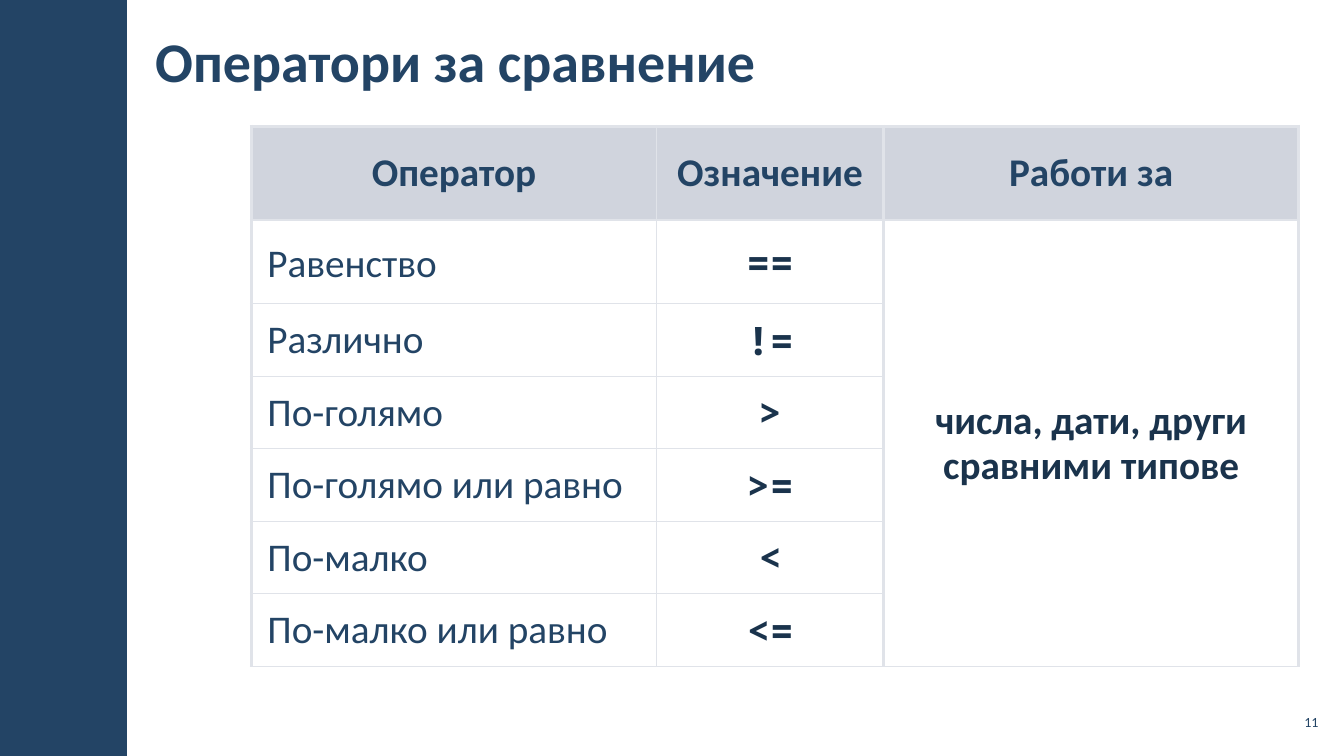
import dataclasses
import lxml.etree
import pptx
import pptx.dml.color
import pptx.enum.shapes
import pptx.enum.text
import pptx.oxml.ns
import pptx.util

Inch = pptx.util.Inches
Point = pptx.util.Pt
Align = pptx.enum.text.PP_ALIGN
Middle = pptx.enum.text.MSO_ANCHOR.MIDDLE
qn = pptx.oxml.ns.qn


@dataclasses.dataclass(frozen=True)
class Theme:
    navy: str = "234465"
    dark: str = "1A334C"
    head: str = "A3ABBC"
    rule: str = "E0E3E9"
    font: str = "Calibri"
    mono: str = "Noto Sans Mono"
    title: int = 40
    body: int = 28
    small: int = 10
    thick: float = 2.25
    thin: float = 1


THEME = Theme()
WIDE, HIGH = 13.33, 7.5
HEADS = ("Оператор", "Означение", "Работи за")
SIGNS = (
    ("Равенство", "=="),
    ("Различно", "!="),
    ("По-голямо", ">"),
    ("По-голямо или равно", ">="),
    ("По-малко", "<"),
    ("По-малко или равно", "<="),
)
SCOPE = "числа, дати, други сравними типове"
COLS = (4.02, 2.25, 4.12)
ROWS = (0.93, 0.83) + (0.72,) * 5


def share(left, top, width, height):
    return [Inch(part * size) for part, size in
            zip((left, top, width, height), (WIDE, HIGH, WIDE, HIGH))]


def apply(item, form):
    for name, value in form.items():
        setattr(item, name, value)


def inset(side, edge):
    return {"margin_left": Inch(side), "margin_right": Inch(side),
            "margin_top": Inch(edge), "margin_bottom": Inch(edge),
            "vertical_anchor": Middle, "word_wrap": True}


def write(frame, text, size, color=THEME.navy, bold=False,
          align=Align.LEFT, font=THEME.font, **form):
    para = frame.paragraphs[0]
    apply(para, {"alignment": align, **form})
    run = para.add_run()
    run.text = text
    apply(run.font, {"name": font, "size": Point(size), "bold": bold})
    run.font.color.rgb = pptx.dml.color.RGBColor.from_string(color)


def paint(fill, color):
    fill.solid()
    fill.fore_color.rgb = pptx.dml.color.RGBColor.from_string(color)


def border(cell, sides):
    props = cell._tc.get_or_add_tcPr()
    for spot, (side, width) in enumerate(sides.items()):
        line = lxml.etree.Element(qn("a:ln" + side), w=str(Point(width)))
        fill = lxml.etree.SubElement(line, qn("a:solidFill"))
        lxml.etree.SubElement(fill, qn("a:srgbClr"), val=THEME.rule)
        props.insert(spot, line)


def edges(row, col):
    def pick(test):
        return THEME.thick if test else THEME.thin

    return {"L": pick(col != 1), "R": pick(col > 0),
            "T": pick(row < 2), "B": pick(row == 0)}


def side_bar(slide, box):
    bar = slide.shapes.add_shape(
        pptx.enum.shapes.MSO_SHAPE.RECTANGLE, *box)
    bar.shadow.inherit = False
    paint(bar.fill, THEME.navy)
    bar.line.fill.background()


def heading(slide, box, text):
    title = slide.shapes.title
    apply(title, dict(zip(("left", "top", "width", "height"), box)))
    apply(title.text_frame, inset(0.12, 0.04))
    write(title.text_frame, text, THEME.title, bold=True)


def page(slide, box, text):
    frame = slide.shapes.add_textbox(*box).text_frame
    apply(frame, inset(0.04, 0.04))
    write(frame, text, THEME.small, align=Align.RIGHT)


def style(row, col):
    form = {"line_spacing": 0.95}
    if row == 0:
        return {**form, "bold": True, "align": Align.CENTER}
    if col > 0:
        font = THEME.mono if col == 1 else THEME.font
        return {**form, "bold": True, "align": Align.CENTER,
                "color": THEME.dark, "font": font}
    if row == 1:
        return {"line_spacing": Point(38), "space_before": Point(6),
                "space_after": Point(6)}
    return form


def grid(slide, box):
    table = slide.shapes.add_table(len(ROWS), len(COLS), *box).table
    apply(table, {"first_row": False, "horz_banding": False})
    for col, width in zip(table.columns, COLS):
        col.width = Inch(width)
    for row, height in zip(table.rows, ROWS):
        row.height = Inch(height)
    table.cell(1, 2).merge(table.cell(len(ROWS) - 1, 2))
    lines = [HEADS] + [pair + (SCOPE,) for pair in SIGNS]
    for row, line in enumerate(lines):
        for col, text in enumerate(line):
            cell = table.cell(row, col)
            cell.fill.background()
            if cell.is_spanned:
                continue
            form = inset(0.16, 0.05)
            form.pop("word_wrap")
            apply(cell, form)
            if row == 0:
                paint(cell.fill, THEME.head)
                tint = cell._tc.tcPr.find(".//" + qn("a:srgbClr"))
                lxml.etree.SubElement(tint, qn("a:alpha"), val="50000")
            border(cell, edges(row, col))
            write(cell.text_frame, text, THEME.body, **style(row, col))


def main():
    deck = pptx.Presentation()
    apply(deck, {"slide_width": Inch(WIDE), "slide_height": Inch(HIGH)})
    slide = deck.slides.add_slide(deck.slide_layouts[5])
    side_bar(slide, share(0, 0, 0.0945, 1))
    heading(slide, share(0.1065, 0.015, 0.689, 0.13),
            "Оператори за сравнение")
    page(slide, share(0.949, 0.933, 0.035, 0.045), "11")
    grid(slide, share(0.187, 0.167, 0.779, 0.711))
    deck.save("out.pptx")


if __name__ == "__main__":
    main()
